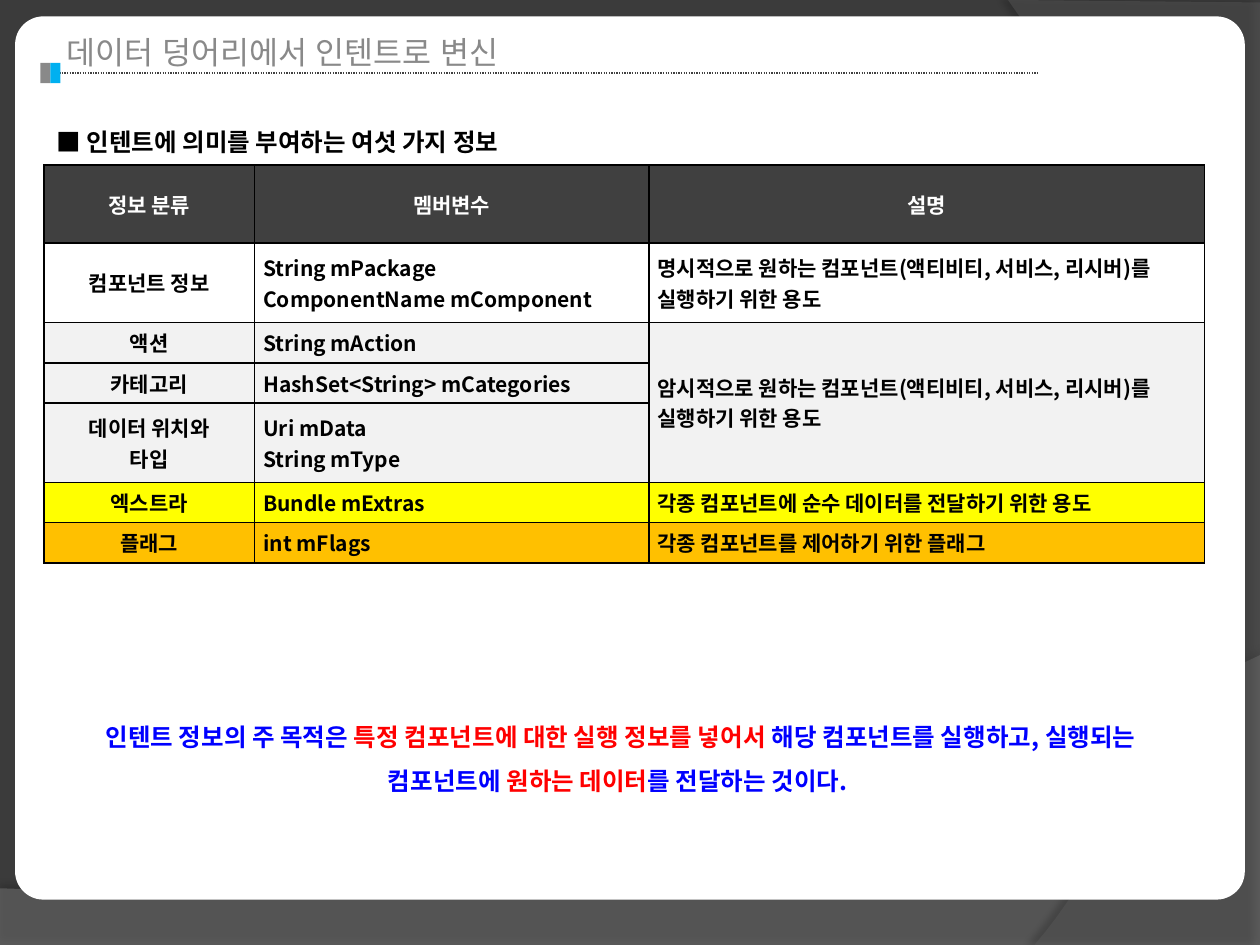
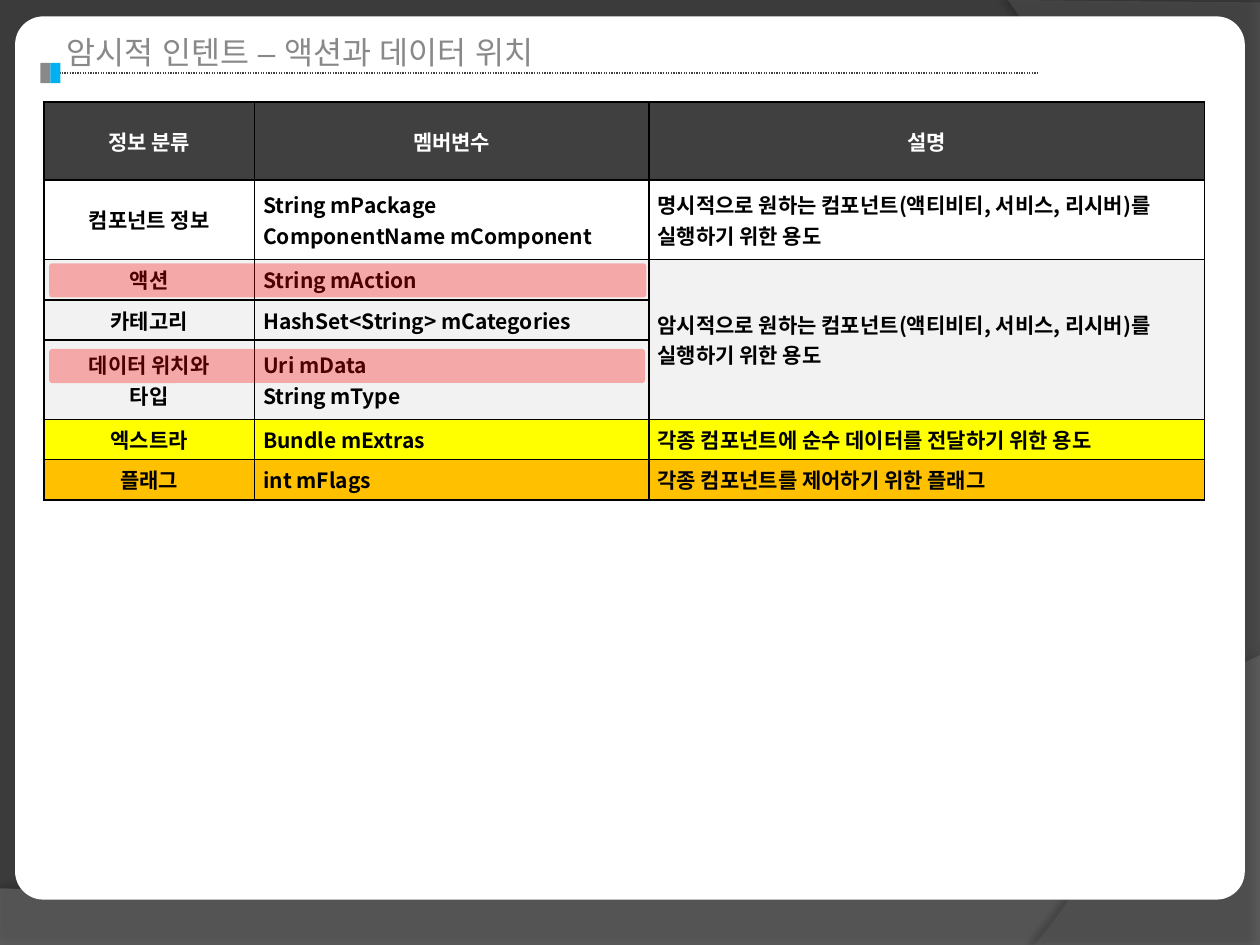
import pptx
import pptx.dml.color
import pptx.enum.dml
import pptx.enum.shapes
import pptx.enum.text
import pptx.oxml
import pptx.oxml.ns
import pptx.util
from lxml import etree

Inches = pptx.util.Inches
Pt = pptx.util.Pt
RGBColor = pptx.dml.color.RGBColor
ALIGN = pptx.enum.text.PP_ALIGN
MIDDLE = pptx.enum.text.MSO_ANCHOR.MIDDLE
SHAPE = pptx.enum.shapes.MSO_SHAPE
qn = pptx.oxml.ns.qn

BACKDROP = RGBColor(0x3B, 0x3B, 0x3B)
BOTTOM_WAVE = RGBColor(0x7F, 0x7F, 0x7F)
SIDE_WAVE = RGBColor(0x5E, 0x5E, 0x5E)
WHITE = RGBColor(0xFF, 0xFF, 0xFF)
BLACK = RGBColor(0, 0, 0)
TITLE_GREY = RGBColor(0x89, 0x89, 0x89)
ACCENT_BLUE = RGBColor(0, 0xB0, 0xF0)
CHARCOAL = RGBColor(0x40, 0x40, 0x40)
PALE_GREY = RGBColor(0xF2, 0xF2, 0xF2)
YELLOW = RGBColor(0xFF, 0xFF, 0)
ORANGE = RGBColor(0xFF, 0xC0, 0)
BLUE = RGBColor(0, 0, 0xFF)
RED = RGBColor(0xFF, 0, 0)

TITLE_FONT = "Arial"
BODY_FONT = "Noto Sans CJK KR"

COLUMN_WIDTHS = (1.67, 3.13, 4.41)
SINGLE_ROW, DOUBLE_ROW = 0.32, 0.63
INTENT_ROWS = (
    (0.62, CHARCOAL, ("정보 분류", "멤버변수", "설명")),
    (DOUBLE_ROW, WHITE, ("컴포넌트 정보", "String mPackage\nComponentName mComponent",
                         "명시적으로 원하는 컴포넌트(액티비티, 서비스, 리시버)를 실행하기 위한 용도")),
    (SINGLE_ROW, PALE_GREY, ("액션", "String mAction",
                             "암시적으로 원하는 컴포넌트(액티비티, 서비스, 리시버)를 실행하기 위한 용도")),
    (SINGLE_ROW, PALE_GREY, ("카테고리", "HashSet<String> mCategories", "")),
    (DOUBLE_ROW, PALE_GREY, ("데이터 위치와\n타입", "Uri mData\nString mType", "")),
    (SINGLE_ROW, YELLOW, ("엑스트라", "Bundle mExtras", "각종 컴포넌트에 순수 데이터를 전달하기 위한 용도")),
    (SINGLE_ROW, ORANGE, ("플래그", "int mFlags", "각종 컴포넌트를 제어하기 위한 플래그")),
)
IMPLICIT_ROWS = (2, 4)


def style_run(run, size, color, font=BODY_FONT, bold=True):
    """Give a run its size, colour and Latin and East Asian fonts."""
    run.font.size, run.font.bold, run.font.name = Pt(size), bold, font
    run.font.color.rgb = color
    east_asian = etree.SubElement(run.font._element, qn("a:ea"))
    east_asian.set("typeface", font)


def paint(shape, color, opacity=100):
    """Fill a shape without outline or inherited shadow."""
    shape.shadow.inherit = False
    shape.line.fill.background()
    shape.fill.solid()
    shape.fill.fore_color.rgb = color
    if opacity < 100:
        srgb = shape._element.spPr.find(qn("a:solidFill")).find(qn("a:srgbClr"))
        etree.SubElement(srgb, qn("a:alpha")).set("val", str(opacity * 1000))


def cast_shadow(shape, opacity, distance, angle):
    """Cast a soft black shadow in the given direction."""
    effects = shape._element.spPr.find(qn("a:effectLst"))
    outer = etree.SubElement(effects, qn("a:outerShdw"), blurRad=str(Pt(4)),
                             dist=str(Pt(distance)), dir=str(angle * 60000),
                             algn="ctr", rotWithShape="0")
    black = etree.SubElement(outer, qn("a:srgbClr"), val="000000")
    etree.SubElement(black, qn("a:alpha")).set("val", str(opacity * 1000))


def add_block(slide, preset, left, top, width, height, color, opacity=100, corner=None):
    """Add a plain filled preset shape."""
    block = slide.shapes.add_shape(preset, Inches(left), Inches(top),
                                   Inches(width), Inches(height))
    paint(block, color, opacity)
    if corner is not None:
        block.adjustments[0] = corner


def curve(start, control_1, control_2, end, steps=40):
    """Return points along a cubic curve, without its start."""
    points = []
    for step in range(1, steps + 1):
        t = step / steps
        weights = ((1 - t) ** 3, 3 * t * (1 - t) ** 2, 3 * t * t * (1 - t), t ** 3)
        points.append(tuple(sum(w * p[axis] for w, p in zip(weights, (start, control_1, control_2, end)))
                            for axis in (0, 1)))
    return points


def add_wave(slide, left, top, points, color, opacity):
    """Add a closed translucent outline, with points relative to its corner."""
    corners = [(Inches(left + x), Inches(top + y)) for x, y in points]
    outline = slide.shapes.build_freeform(*corners[0], scale=1.0)
    outline.add_line_segments(corners[1:], close=True)
    wave = outline.convert_to_shape()
    paint(wave, color, opacity)
    return wave


def add_backdrop(slide):
    """Draw the dark waves and the white rounded page."""
    slide.background.fill.solid()
    slide.background.fill.fore_color.rgb = BACKDROP
    bottom_edge = [(0, 1.85), (0, 2.3), (10, 2.3), (10, 0)]
    bottom_edge += curve((10, 0), (5.59, 2.09), (3.91, 1.99), (0, 1.85))
    bottom = add_wave(slide, 0, 5.2, bottom_edge, BOTTOM_WAVE, 45)
    cast_shadow(bottom, 35, 3.5, 270)
    side_edge = [(2, 0.02), (2, 7.5), (0.21, 7.5)]
    side_edge += curve((0.21, 7.5), (1.35, 6.19), (2.18, 3), (0, 0))
    side = add_wave(slide, 8, 0, side_edge, SIDE_WAVE, 40)
    cast_shadow(side, 45, 4, 180)
    add_block(slide, SHAPE.ROUNDED_RECTANGLE, 0.12, 0.13, 9.76, 7.01, WHITE, corner=0.032)


def add_text(slide, left, top, width, height, pieces, size, font=BODY_FONT, bold=True,
             align=ALIGN.LEFT, spacing=None, anchor=None):
    """Add one wrapped paragraph made of (text, colour) pieces."""
    box = slide.shapes.add_textbox(Inches(left), Inches(top), Inches(width), Inches(height))
    frame = box.text_frame
    frame.word_wrap = True
    frame.auto_size = pptx.enum.text.MSO_AUTO_SIZE.SHAPE_TO_FIT_TEXT
    frame.vertical_anchor = anchor
    paragraph = frame.paragraphs[0]
    paragraph.alignment, paragraph.line_spacing = align, spacing
    for text, color in pieces:
        run = paragraph.add_run()
        run.text = text
        style_run(run, size, color, font, bold)


def add_title(slide, title, left=0.32, top=0.21):
    """Add the slide title with its dotted rule and two-tone marker."""
    add_text(slide, left + 0.11, top, 7.8, 0.4, [(title, TITLE_GREY)], 18, TITLE_FONT, False)
    rule_y = Inches(top + 0.37)
    rule = slide.shapes.add_connector(pptx.enum.shapes.MSO_CONNECTOR.STRAIGHT,
                                      Inches(left + 0.11), rule_y, Inches(left + 7.91), rule_y)
    rule.line.color.rgb = CHARCOAL
    rule.line.width = Pt(0.75)
    rule.line.dash_style = pptx.enum.dml.MSO_LINE.ROUND_DOT
    etree.SubElement(rule._element.spPr, qn("a:effectLst"))
    for index, color in enumerate((TITLE_GREY, ACCENT_BLUE)):
        add_block(slide, SHAPE.RECTANGLE, left + index * 0.08, top + 0.29, 0.08, 0.16, color)


def style_cell(cell, fill, text_color, align):
    """Set a cell's borders, fill, margins and text style."""
    properties = cell._tc.get_or_add_tcPr()
    for side in ("L", "R", "T", "B"):
        border = etree.SubElement(properties, qn("a:ln" + side), w=str(Pt(1)))
        solid = etree.SubElement(border, qn("a:solidFill"))
        etree.SubElement(solid, qn("a:srgbClr"), val=str(BLACK))
    cell.fill.solid()
    cell.fill.fore_color.rgb = fill
    cell.margin_left = cell.margin_right = Inches(0.07)
    cell.margin_top = cell.margin_bottom = 0
    cell.vertical_anchor = MIDDLE
    for paragraph in cell.text_frame.paragraphs:
        paragraph.alignment = align
        for run in paragraph.runs:
            style_run(run, 12, text_color)


def add_intent_table(slide, left, top):
    """Add the table of the six kinds of intent information."""
    height = sum(row[0] for row in INTENT_ROWS)
    frame = slide.shapes.add_table(len(INTENT_ROWS), len(COLUMN_WIDTHS), Inches(left), Inches(top),
                                   Inches(sum(COLUMN_WIDTHS)), Inches(height))
    table = frame.table
    table.first_row = table.horz_banding = False
    for column, width in zip(table.columns, COLUMN_WIDTHS):
        column.width = Inches(width)
    body_aligns = (ALIGN.CENTER, ALIGN.JUSTIFY, ALIGN.LEFT)
    for row_index, (row_height, fill, texts) in enumerate(INTENT_ROWS):
        table.rows[row_index].height = Inches(row_height)
        is_header = row_index == 0
        for column_index, text in enumerate(texts):
            cell = table.cell(row_index, column_index)
            cell.text_frame.text = text
            style_cell(cell, fill, WHITE if is_header else BLACK,
                       ALIGN.CENTER if is_header else body_aligns[column_index])
    first, last = IMPLICIT_ROWS
    table.cell(first, 2).merge(table.cell(last, 2))


def add_highlights(slide, table_left, table_top):
    """Mark the action and data location entries of the table."""
    for offset, width in ((1.28, 4.74), (1.96, 4.73)):
        add_block(slide, SHAPE.ROUNDED_RECTANGLE, table_left + 0.04, table_top + offset,
                  width, 0.27, RED, 30, 0.091)


def start_slide(deck, title):
    """Add a blank slide with the shared backdrop and title."""
    slide = deck.slides.add_slide(deck.slide_layouts[6])
    add_backdrop(slide)
    add_title(slide, title)
    return slide


def build_overview(deck):
    """Build the slide on the six kinds of information."""
    slide = start_slide(deck, "데이터 덩어리에서 인텐트로 변신")
    add_text(slide, 0.35, 0.84, 5.43, 0.41,
             [("■ 인텐트에 의미를 부여하는 여섯 가지 정보", BLACK)], 14, spacing=1.5)
    purpose = (
        ("인텐트 정보의 주 목적은 ", BLUE),
        ("특정 컴포넌트에 대한 실행 정보를 넣어서 ", RED),
        ("해당 컴포넌트를 실행하고, 실행되는 컴포넌트에 ", BLUE),
        ("원하는 데이터", RED),
        ("를 전달하는 것이다. ", BLUE),
    )
    add_text(slide, 0.28, 5.56, 9.29, 0.81, purpose, 14,
             align=ALIGN.CENTER, spacing=1.5, anchor=MIDDLE)
    add_intent_table(slide, 0.35, 1.31)


def build_implicit_intent(deck):
    """Build the slide on actions and data locations."""
    slide = start_slide(deck, "암시적 인텐트 – 액션과 데이터 위치")
    table_left, table_top = 0.35, 0.81
    add_intent_table(slide, table_left, table_top)
    add_highlights(slide, table_left, table_top)


def main():
    """Build and save the deck."""
    deck = pptx.Presentation()
    deck.slide_width, deck.slide_height = Inches(10), Inches(7.5)
    build_overview(deck)
    build_implicit_intent(deck)
    deck.save("out.pptx")


if __name__ == "__main__":
    main()
